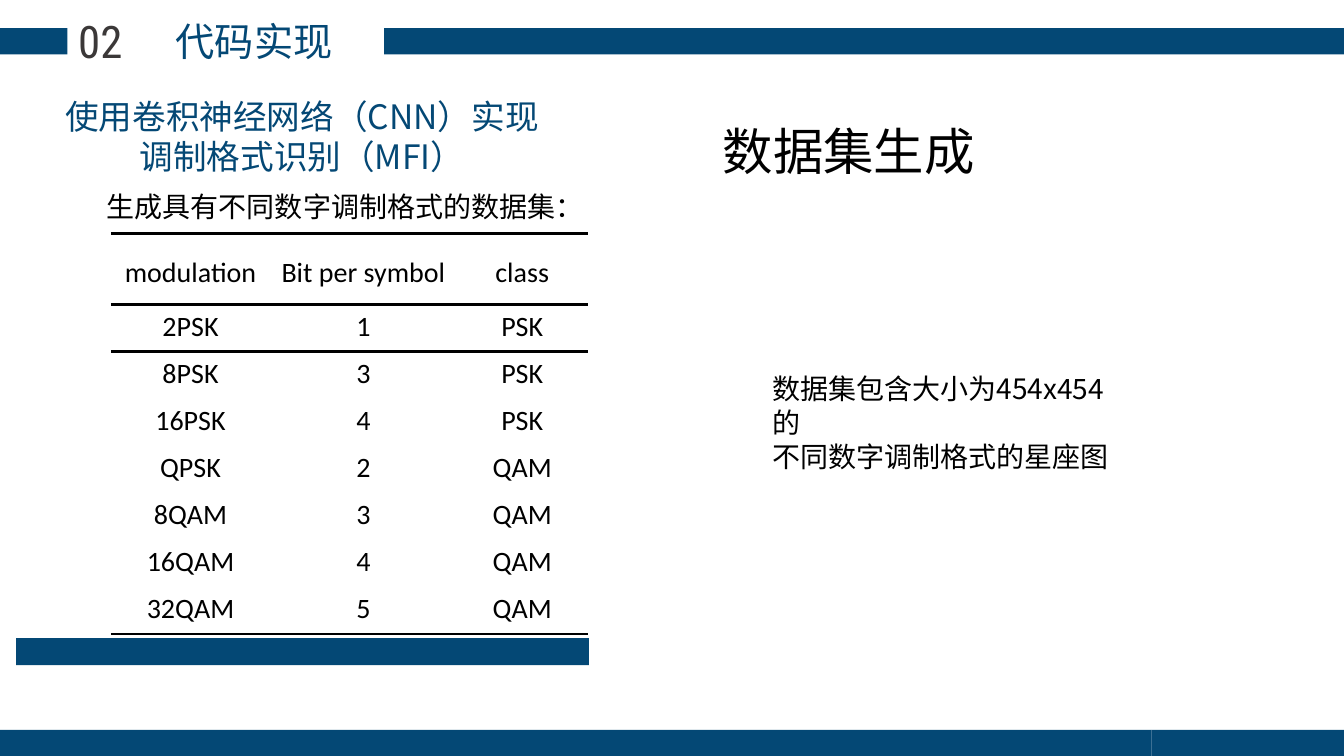
from lxml.etree import SubElement, Element
from pptx import Presentation
from pptx.dml.color import RGBColor
from pptx.enum.shapes import MSO_SHAPE as Shape
from pptx.enum.text import PP_ALIGN as Align
from pptx.oxml.ns import qn
from pptx.util import Inches, Pt

NAVY = RGBColor(0x04, 0x48, 0x75)
GRAY = RGBColor(0x3B, 0x38, 0x38)
BLACK = RGBColor(0, 0, 0)
HAN, LATIN, NUMERAL = "Noto Sans CJK SC", "Calibri", "Roboto Condensed"
WIDTH, HEIGHT, BAR = 13.33, 7.5, 0.26
PLAIN_TABLE = "{2D5ABB26-0587-4C30-8999-92F81FD0307C}"
COLUMNS = (1.58, 1.85, 1.3)
HEADER_HEIGHT = 0.7
ROWS = (
    ("modulation", "Bit per symbol", "class"),
    ("2PSK", "1", "PSK"),
    ("8PSK", "3", "PSK"),
    ("16PSK", "4", "PSK"),
    ("QPSK", "2", "QAM"),
    ("8QAM", "3", "QAM"),
    ("16QAM", "4", "QAM"),
    ("32QAM", "5", "QAM"),
)


def add_bar(page, left, top, width, height=BAR):
    """Draw a plain navy bar."""
    bar = page.shapes.add_shape(
        Shape.RECTANGLE, Inches(left), Inches(top), Inches(width), Inches(height))
    bar.shadow.inherit = False
    bar.fill.solid()
    bar.fill.fore_color.rgb = NAVY
    bar.line.fill.background()


def style_text(para, size, font, color, align):
    """Format a paragraph and its runs."""
    para.alignment = align
    for span in para.runs:
        span.font.size = Pt(size)
        span.font.name = font
        span.font.color.rgb = color
        if font == HAN:
            SubElement(span.font._element, qn("a:ea"), typeface=font)


def add_text(page, box, text, size, font=HAN, color=BLACK, align=Align.LEFT, wrap=True):
    """Place a text box with lines 1.2 times the type size."""
    frame = page.shapes.add_textbox(*map(Inches, box)).text_frame
    frame.word_wrap = wrap
    frame.text = text
    for para in frame.paragraphs:
        para.line_spacing = Pt(1.2 * size)
        style_text(para, size, font, color, align)
    return frame


def add_header(page, left, top, width):
    """Place the section number and title between two bars."""
    gap_start, gap_end = left + 0.67, left + 3.81
    add_bar(page, left, top + 0.28, gap_start - left)
    add_bar(page, gap_end, top + 0.28, left + width - gap_end)
    add_text(page, (left + 0.72, top + 0.12, 3.6, 0.57), "代码实现", 28,
             color=NAVY, align=Align.CENTER)
    add_text(page, (left + 0.6, top + 0.09, 0.79, 0.64), "02", 32,
             NUMERAL, GRAY, Align.CENTER)


def add_footer(page, left, top, width):
    """Draw the footer as two adjoining bars."""
    split = 11.42
    add_bar(page, left + split, top, width - split)
    add_bar(page, left, top, split)


def add_rule(cell, side):
    """Rule one side of a cell in black."""
    rule = Element(qn(f"a:{side}"), w=str(Pt(2.25)))
    fill = SubElement(rule, qn("a:solidFill"))
    SubElement(fill, qn("a:srgbClr"), val=str(BLACK))
    cell._tc.get_or_add_tcPr().insert(0, rule)


def add_format_table(page, left, top, width, height):
    """Build the three-rule table of modulation formats."""
    table = page.shapes.add_table(
        len(ROWS), len(COLUMNS), *map(Inches, (left, top, width, height))).table
    table.first_row = table.horz_banding = False
    table._tbl.tblPr.find(qn("a:tableStyleId")).text = PLAIN_TABLE
    for column, share in zip(table.columns, COLUMNS):
        column.width = Inches(width * share / sum(COLUMNS))
    last = len(ROWS) - 1
    for index, values in enumerate(ROWS):
        row_height = (height - HEADER_HEIGHT) / last if index else HEADER_HEIGHT
        table.rows[index].height = Inches(row_height)
        for cell, value in zip(table.rows[index].cells, values):
            cell.text = value
            cell.fill.background()
            para = cell.text_frame.paragraphs[0]
            style_text(para, 20, LATIN, BLACK, Align.CENTER)
            if index == 0:
                para.line_spacing = 1.5
            if index in (0, last):
                add_rule(cell, "lnB")
            if index in (0, 1):
                add_rule(cell, "lnT")


def add_method(page, left, top):
    """Place the method heading, its table and the closing bar."""
    add_bar(page, left, top + 5.43, 5.68, 0.27)
    add_text(page, (left + 0.24, top, 5.19, 0.91),
             "使用卷积神经网络（CNN）实现\n调制格式识别（MFI）", 24,
             color=NAVY, align=Align.CENTER)
    add_text(page, (left + 0.8, top + 0.93, 4.96, 0.74),
             "生成具有不同数字调制格式的数据集：", 20)
    add_format_table(page, left + 0.94, top + 1.42, 4.73, 3.97)


def add_dataset(page, left, top):
    """Place the dataset heading and its description."""
    add_text(page, (left, top, 2.73, 0.71), "数据集生成", 36, LATIN, wrap=False)
    frame = add_text(page, (left + 0.49, top + 2.5, 3.86, 0.77),
                     "数据集包含大小为454x454的\n不同数字调制格式的星座图", 20)
    frame.margin_right = Inches(0.3)


def main():
    """Build and save the slide."""
    deck = Presentation()
    deck.slide_width, deck.slide_height = Inches(WIDTH), Inches(HEIGHT)
    page = deck.slides.add_slide(deck.slide_layouts[6])
    add_footer(page, 0, HEIGHT - BAR, WIDTH)
    add_method(page, 0.16, 0.9)
    add_dataset(page, 7.07, 1.14)
    add_header(page, 0, 0, WIDTH)
    deck.save("out.pptx")


if __name__ == "__main__":
    main()
